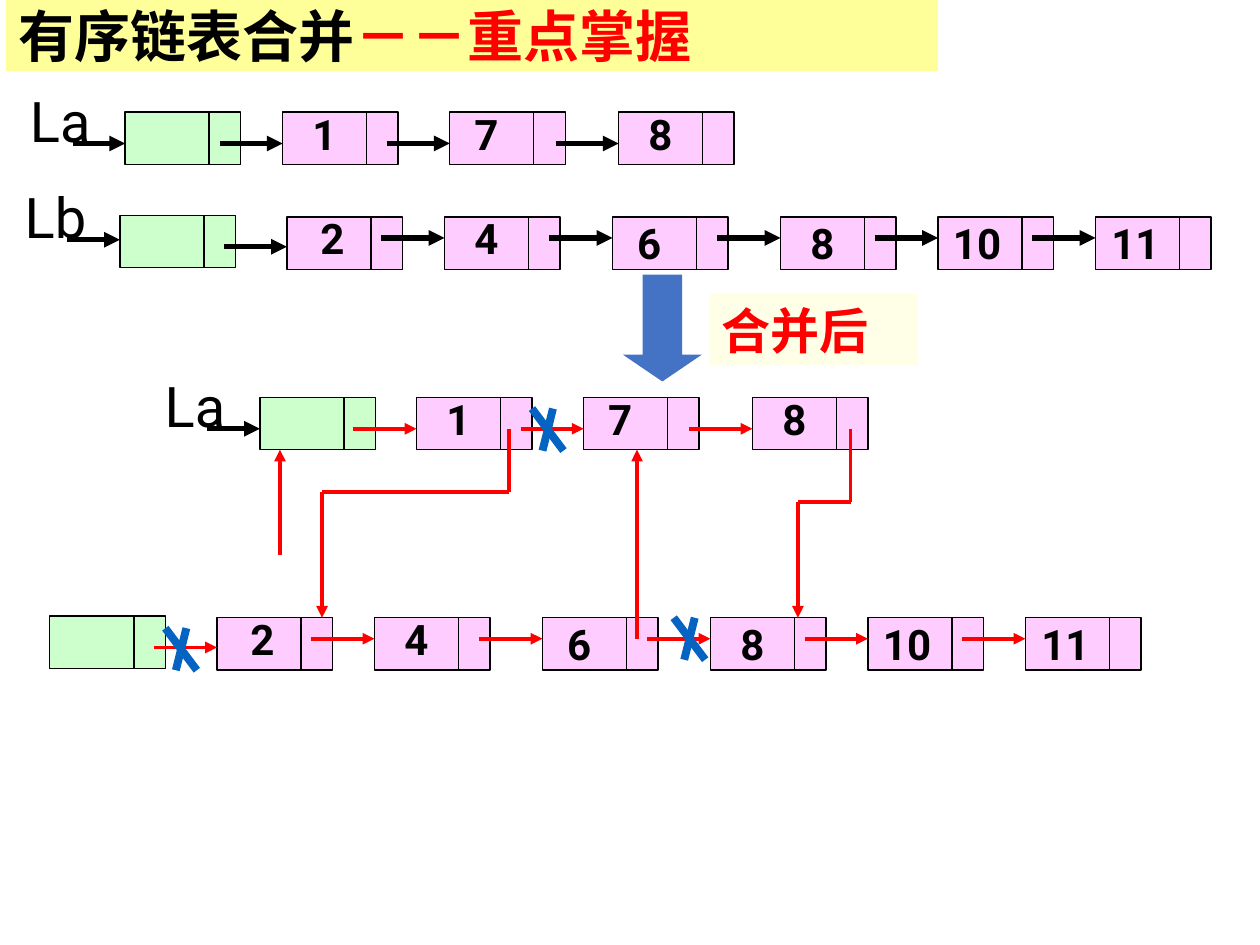
import pptx
import pptx.util
import pptx.dml.color
import pptx.enum.shapes
import pptx.enum.text
import pptx.oxml.ns
from lxml import etree

Pt = pptx.util.Pt
SHAPES = pptx.enum.shapes.MSO_SHAPE
ANCHOR = pptx.enum.text.MSO_ANCHOR

COLORS = {
    "black": "000000",
    "red": "FF0000",
    "header": "CCFFCC",
    "node": "FFCCFF",
    "cross": "0563C1",
    "arrow": "4472C4",
    "label": "FFFFE7",
    "title": "FFFF99",
}
CJK_FONT = "Noto Sans CJK SC"
DATA_WIDTH, POINTER_WIDTH, NODE_HEIGHT = 48, 18, 30
LINK_LENGTH = 36

# Each node: value, left edge, offset of the value from the node's corner
LIST_A = [("1", 161.5, 10, -5.5), ("7", 257, 7, -5.5), ("8", 353.5, 10, -5.5)]
LIST_B = [("2", 164, 12, -6), ("4", 254, 10, -6), ("6", 350, 7, -3),
          ("8", 446, 10, -3), ("10", 536, 1.5, -3), ("11", 626, 2, -3)]


def color(name):
    return pptx.dml.color.RGBColor.from_string(COLORS[name])


def add_text(paragraph, text, size=24, font="Roboto", fill="black", bold=False):
    run = paragraph.add_run()
    run.text = text
    run.font.size = Pt(size)
    run.font.name = font
    run.font.bold = bold
    run.font.color.rgb = color(fill)
    if not text.isascii():
        properties = run.font._element
        east_asian = etree.SubElement(properties, pptx.oxml.ns.qn("a:ea"))
        east_asian.set("typeface", CJK_FONT)


class Diagram:
    def __init__(self, slide):
        self.slide = slide

    def title(self, parts, left, top, width, height):
        shape = self.slide.shapes.title
        shape.left, shape.top = Pt(left), Pt(top)
        shape.width, shape.height = Pt(width), Pt(height)
        shape.fill.solid()
        shape.fill.fore_color.rgb = color("title")
        frame = shape.text_frame
        frame.vertical_anchor = ANCHOR.MIDDLE
        frame.auto_size = pptx.enum.text.MSO_AUTO_SIZE.NONE
        paragraph = frame.paragraphs[0]
        paragraph.alignment = pptx.enum.text.PP_ALIGN.LEFT
        for text, fill in parts:
            add_text(paragraph, text, size=32, font=CJK_FONT, fill=fill, bold=True)

    def box(self, left, top, width, height, fill, outline=True, kind=SHAPES.RECTANGLE):
        shape = self.slide.shapes.add_shape(kind, Pt(left), Pt(top), Pt(width), Pt(height))
        shape.shadow.inherit = False
        shape.fill.solid()
        shape.fill.fore_color.rgb = color(fill)
        if outline:
            shape.line.color.rgb = color("black")
            shape.line.width = Pt(0.75)
        else:
            shape.line.fill.background()
        return shape

    def text(self, text, left, top, width, height, **style):
        shape = self.slide.shapes.add_textbox(Pt(left), Pt(top), Pt(width), Pt(height))
        shape.text_frame.word_wrap = False
        add_text(shape.text_frame.paragraphs[0], text, **style)

    def line(self, start, end, stroke="red", width=2.25, arrow=True):
        connector = self.slide.shapes.add_connector(
            pptx.enum.shapes.MSO_CONNECTOR.STRAIGHT,
            Pt(start[0]), Pt(start[1]), Pt(end[0]), Pt(end[1]))
        connector.line.color.rgb = color(stroke)
        connector.line.width = Pt(width)
        if arrow:
            outline = connector.line._get_or_add_ln()
            etree.SubElement(outline, pptx.oxml.ns.qn("a:tailEnd")).set("type", "triangle")
        etree.SubElement(connector._element.spPr, pptx.oxml.ns.qn("a:effectLst"))

    def bent_line(self, *points):
        for index in range(1, len(points)):
            self.line(points[index - 1], points[index], arrow=index == len(points) - 1)

    def cross(self, x, y):
        for start, end in ((3, -3), (-9, 9)):
            self.line((x + start, y - 12), (x + end, y + 12), "cross", 4.5, arrow=False)

    def node(self, left, top, fill):
        self.box(left, top, DATA_WIDTH, NODE_HEIGHT, fill)
        self.box(left + DATA_WIDTH, top, POINTER_WIDTH, NODE_HEIGHT, fill)

    def linked_list(self, nodes, header, top, link_y, first_link_y, shift=0, **stroke):
        self.node(*header, "header")
        for value, left, text_x, text_y in nodes:
            self.node(left + shift, top, "node")
            self.text(value, left + shift + text_x, top + text_y,
                      14 + 14 * len(value), 36, bold=True)
        for index, (_, left, _, _) in enumerate(nodes):
            y = link_y if index else first_link_y
            self.line((left + shift - LINK_LENGTH, y), (left + shift, y), **stroke)

    def list_name(self, name, header_left, top):
        self.text(name, header_left - 61.5, top, 54, 46, size=32)
        self.line((header_left - 30, top + 36), (header_left, top + 36), "black", 3)


def main():
    presentation = pptx.Presentation()
    presentation.slide_width, presentation.slide_height = Pt(720), Pt(540)
    slide = presentation.slides.add_slide(presentation.slide_layouts[5])
    diagram = Diagram(slide)

    diagram.title([("有序链表合并", "black"), ("－－重点掌握", "red")], 3.5, 0, 532.5, 40.5)

    # The two lists before merging
    diagram.list_name("La", 71.5, 46)
    diagram.linked_list(LIST_A, (71.5, 64), 64, 82, 82, stroke="black", width=3)
    diagram.list_name("Lb", 68.5, 101)
    diagram.linked_list(LIST_B, (68.5, 123), 124, 136, 141, stroke="black", width=3)

    # The two lists after merging
    diagram.list_name("La", 148.5, 209)
    diagram.linked_list(LIST_A, (148.5, 227), 227, 245, 245, shift=76.5)
    diagram.linked_list(LIST_B, (28.5, 352), 353, 365, 370, shift=-40)

    # New links between the lists
    diagram.bent_line((160, 317), (160, 257))
    diagram.bent_line((291, 245), (291, 281), (184, 281), (184, 353))
    diagram.bent_line((364, 365), (364, 257))
    diagram.bent_line((486, 245), (486, 287), (456, 287), (456, 353))

    # Links that are removed
    for x, y in ((313, 245.5), (394, 365), (103.5, 371)):
        diagram.cross(x, y)

    # Merge arrow and its label
    arrow = diagram.box(356, 157, 45, 61, "arrow", outline=False, kind=SHAPES.DOWN_ARROW)
    arrow.adjustments[0], arrow.adjustments[1] = 0.5, 0.34
    label = diagram.box(405.5, 168, 119, 41, "label", outline=False)
    label.text_frame.vertical_anchor = ANCHOR.MIDDLE
    paragraph = label.text_frame.paragraphs[0]
    paragraph.alignment = pptx.enum.text.PP_ALIGN.LEFT
    add_text(paragraph, "合并后", size=28, font="Times New Roman", fill="red", bold=True)

    presentation.save("out.pptx")


if __name__ == "__main__":
    main()
